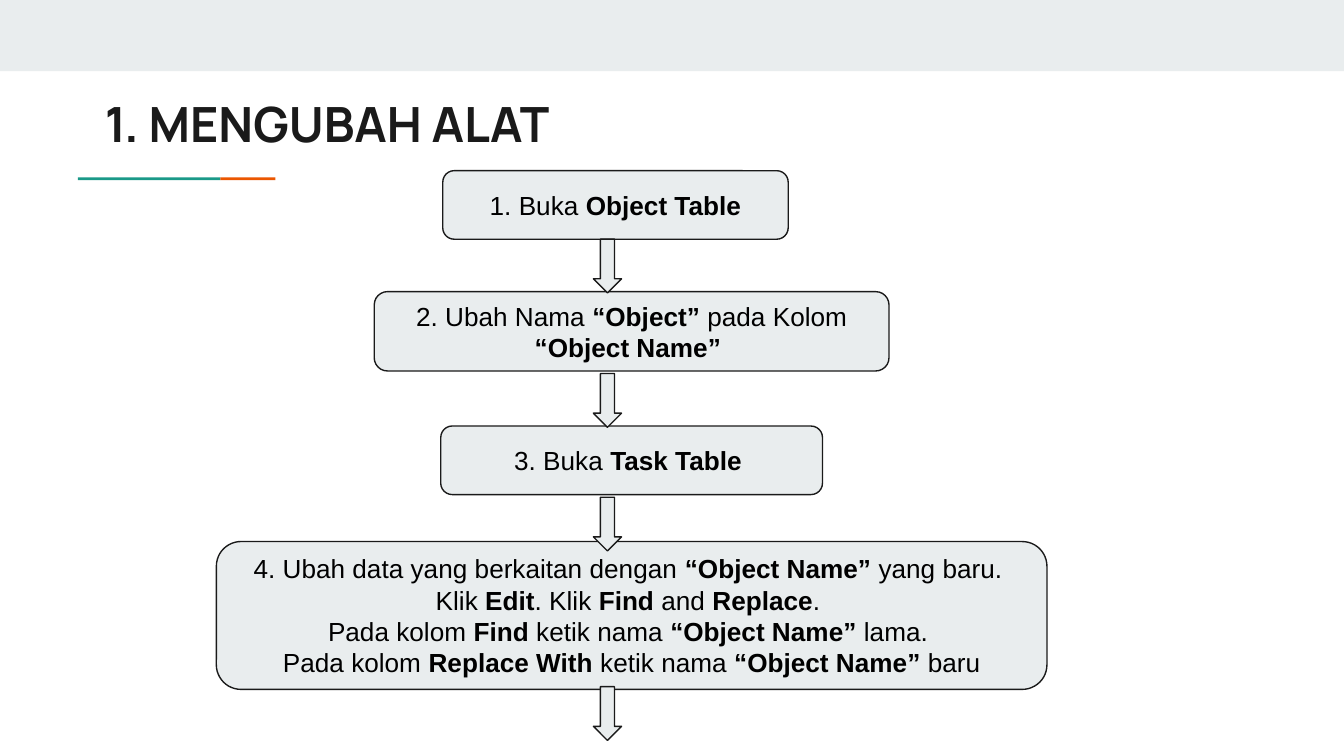
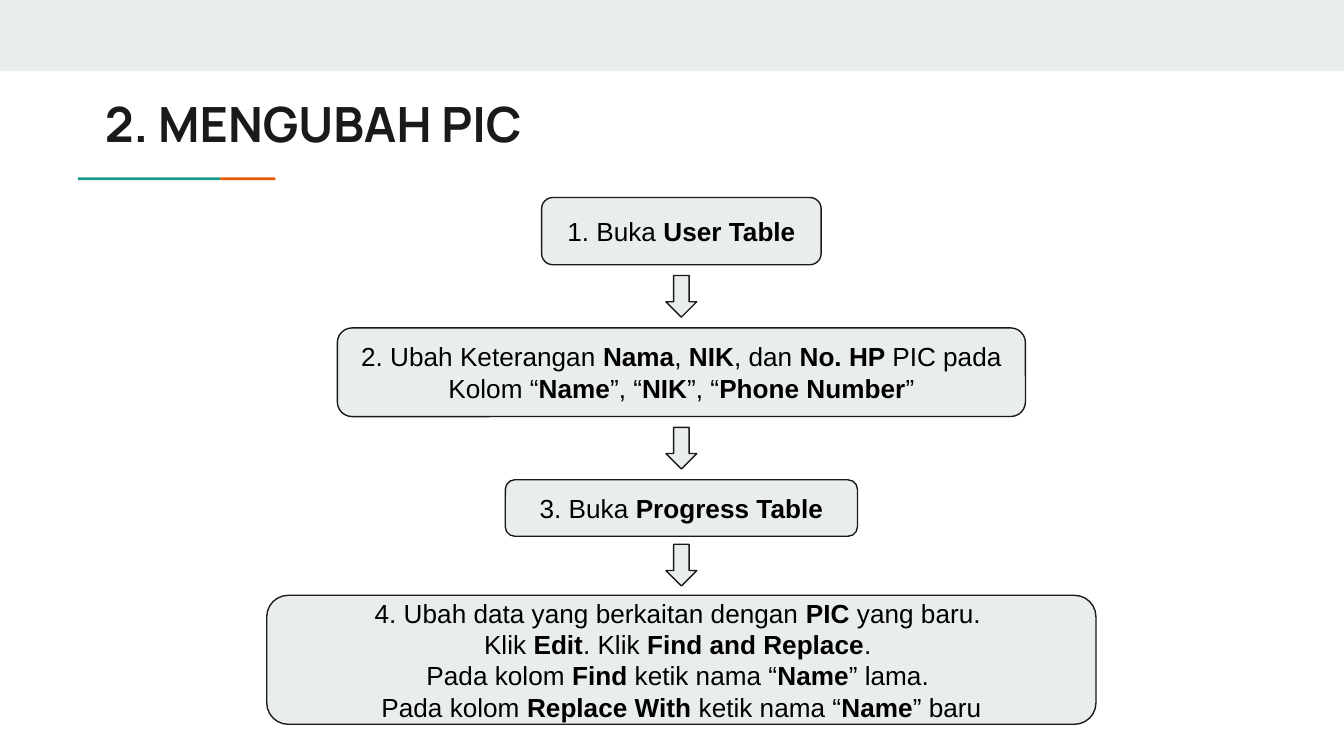
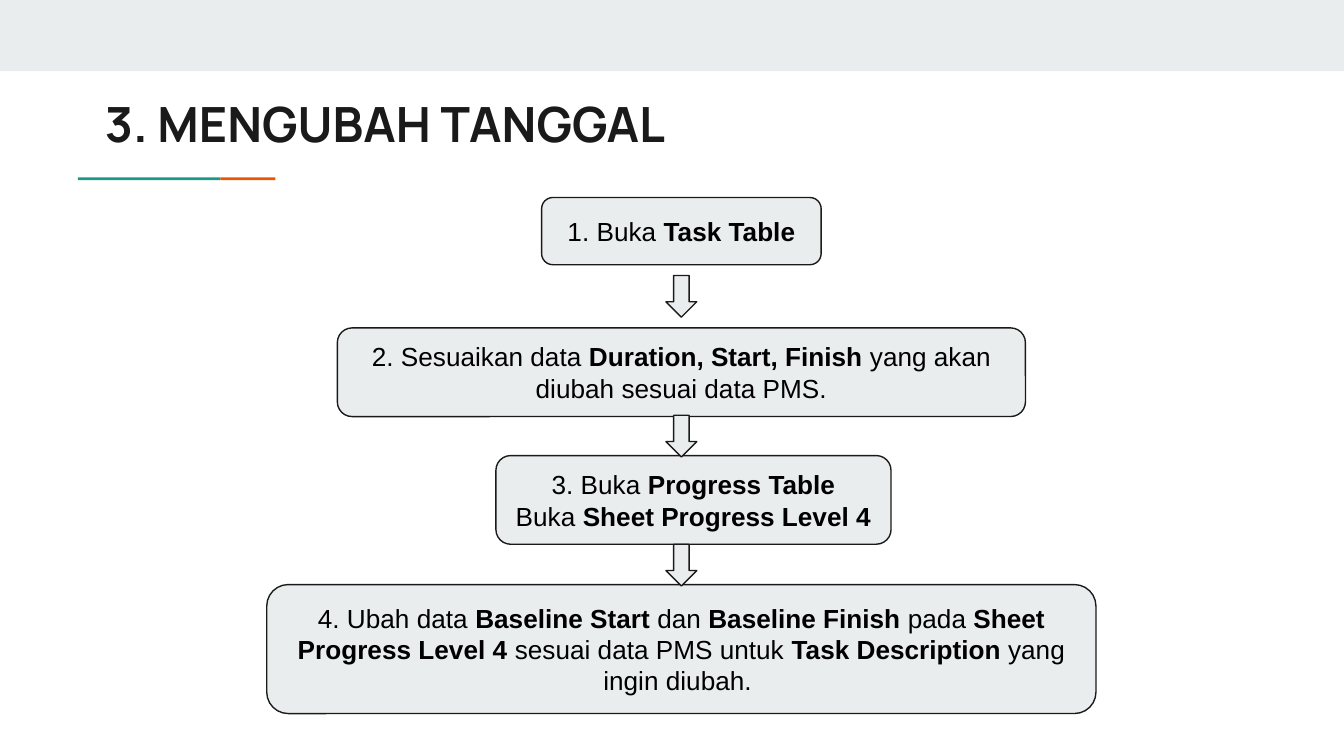
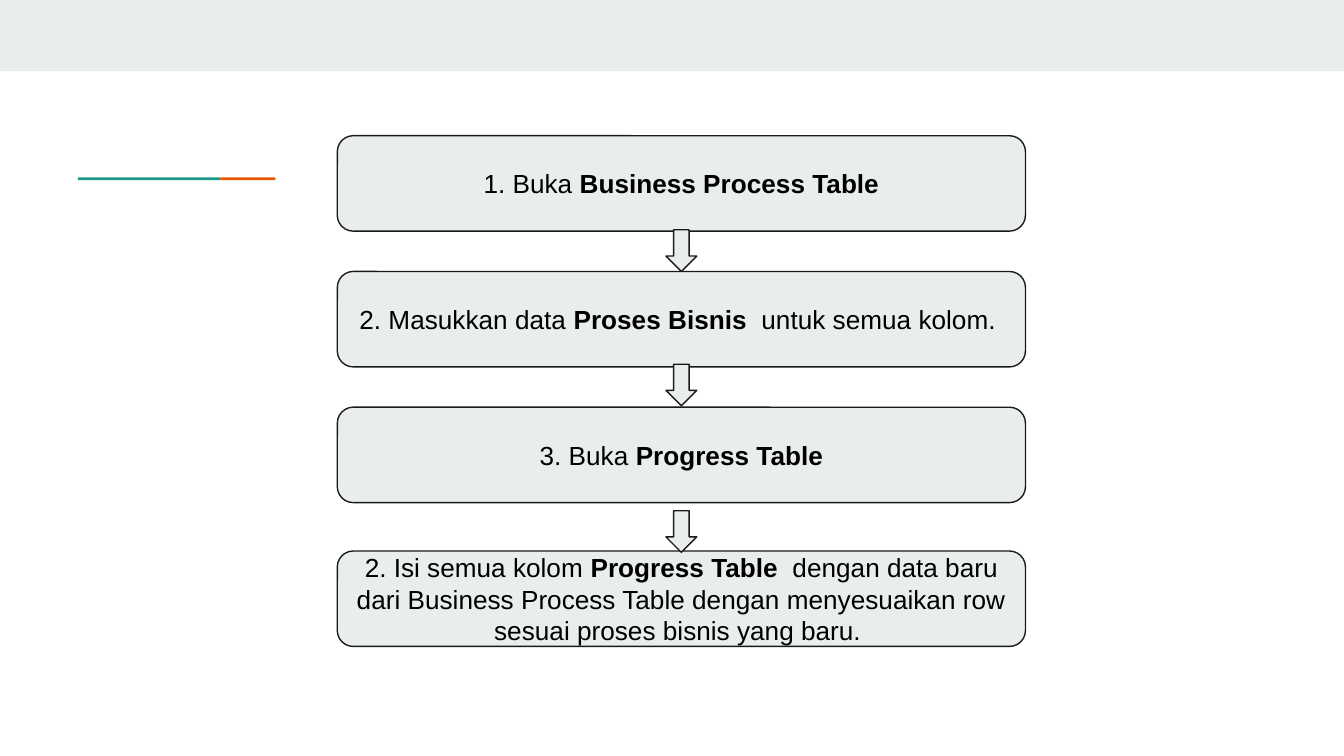
"""Build four flowchart slides on changing project data."""
from pptx import Presentation
from pptx import util as u
from pptx.dml import color
from pptx.enum import shapes, text

WIDTH = 10
HEIGHT = WIDTH * 9 / 16
PALE, INK, BLACK, TEAL, ORANGE = "E9EDEE", "1A1A1A", "000000", "1A9988", "EB5600"
TITLE_BOX = (0.68, 0.6, 8.41, 0.59)
DECOR = [
    ((0, 0, WIDTH, 0.53), PALE),
    ((0.58, 1.32, 1.06, 0.02), TEAL),
    ((1.64, 1.32, 0.41, 0.02), ORANGE),
]

# Each step: top, width, height, shift from the axis, text with **bold** parts.
SLIDES = [
    {
        "title": "1. MENGUBAH ALAT",
        "axis": 4.52,
        "arrow_size": (0.21, 0.4),
        "arrow_tops": [1.78, 2.78, 3.7, 5.11],
        "steps": [
            (1.27, 2.57, 0.51, 0.06, "1. Buka **Object Table**"),
            (2.17, 3.83, 0.59, 0.18, "2. Ubah Nama **“Object”** pada Kolom **“Object Name” **"),
            (3.17, 2.84, 0.51, 0.18, "3. Buka **Task Table **"),
            (4.03, 6.18, 1.1, 0.18,
             "4. Ubah data yang berkaitan dengan **“Object Name”** yang baru. \n"
             "Klik** Edit**. Klik **Find **and **Replace**. \n"
             "Pada kolom **Find** ketik nama **“Object Name”** lama. \n"
             "Pada kolom **Replace With **ketik nama **“Object Name”** baru"),
        ],
    },
    {
        "title": "2. MENGUBAH PIC",
        "axis": 5.07,
        "arrow_size": (0.23, 0.31),
        "arrow_tops": [2.05, 3.18, 4.05],
        "steps": [
            (1.47, 2.08, 0.5, 0, "1. Buka **User Table**"),
            (2.44, 5.12, 0.66, 0,
             "2. Ubah Keterangan **Nama**, **NIK**, dan **No. HP **PIC pada Kolom "
             "“**Name**”, “**NIK**”, “**Phone Number**”"),
            (3.57, 2.62, 0.42, 0, "3. Buka **Progress Table**"),
            (4.43, 6.17, 0.96, 0,
             "4. Ubah data yang berkaitan dengan **PIC **yang baru. \n"
             "Klik **Edit**. Klik **Find and Replace**. \n"
             "Pada kolom **Find** ketik nama “**Name**” lama. \n"
             "Pada kolom **Replace With** ketik nama “**Name**” baru"),
        ],
    },
    {
        "title": "3. MENGUBAH TANGGAL",
        "axis": 5.07,
        "arrow_size": (0.23, 0.31),
        "arrow_tops": [2.05, 3.09, 4.05],
        "steps": [
            (1.47, 2.08, 0.5, 0, "1. Buka **Task Table**"),
            (2.44, 5.12, 0.66, 0,
             "2. Sesuaikan data **Duration, Start, Finish** yang akan diubah sesuai data PMS."),
            (3.39, 2.94, 0.66, 0.09,
             "3. Buka **Progress Table**\nBuka **Sheet Progress Level 4**"),
            (4.35, 6.17, 0.96, 0,
             "4. Ubah data **Baseline Start** dan **Baseline Finish **pada "
             "**Sheet Progress Level 4** sesuai data PMS untuk **Task Description** "
             "yang ingin diubah. "),
        ],
    },
    {
        "title": None,
        "axis": 5.07,
        "arrow_size": (0.23, 0.31),
        "arrow_tops": [1.71, 2.71, 3.8],
        "steps": [
            (1.01, 5.12, 0.71, 0, "1. Buka **Business Process Table**"),
            (2.02, 5.12, 0.71, 0, "2. Masukkan data **Proses Bisnis**  untuk semua kolom. "),
            (3.03, 5.12, 0.71, 0, "3. Buka **Progress Table**"),
            (4.1, 5.12, 0.71, 0,
             "2. Isi semua kolom **Progress Table**  dengan data baru dari Business Process "
             "Table dengan menyesuaikan row sesuai proses bisnis yang baru. "),
        ],
    },
]


def rgb(value):
    return color.RGBColor.from_string(value)


def set_font(paragraph, name, size, value):
    paragraph.font.name = name
    paragraph.font.size = u.Pt(size)
    paragraph.font.color.rgb = rgb(value)


def prepare_frame(frame, anchor):
    frame.word_wrap = True
    frame.auto_size = text.MSO_AUTO_SIZE.NONE
    frame.vertical_anchor = anchor
    frame.margin_left = frame.margin_right = u.Inches(0.1)
    frame.margin_top = frame.margin_bottom = u.Inches(0.1)


def add_shape(slide, kind, box, fill, line=None):
    shape = slide.shapes.add_shape(kind, *map(u.Inches, box))
    shape.shadow.inherit = False
    shape.fill.solid()
    shape.fill.fore_color.rgb = rgb(fill)
    if line:
        shape.line.color.rgb = rgb(line)
        shape.line.width = u.Pt(0.75)
    else:
        shape.line.fill.background()
    return shape


def add_step(slide, axis, step):
    top, width, height, shift, words = step
    box = (axis + shift - width / 2, top, width, height)
    shape = add_shape(slide, shapes.MSO_SHAPE.ROUNDED_RECTANGLE, box, PALE, INK)
    frame = shape.text_frame
    prepare_frame(frame, text.MSO_ANCHOR.MIDDLE)
    for number, line in enumerate(words.split("\n")):
        paragraph = frame.add_paragraph() if number else frame.paragraphs[0]
        paragraph.alignment = text.PP_ALIGN.CENTER
        set_font(paragraph, "Arial", 14, BLACK)
        for index, part in enumerate(line.split("**")):
            if part:
                run = paragraph.add_run()
                run.text = part
                run.font.bold = index % 2 == 1


def set_title(slide, words):
    title = slide.shapes.title
    title.left, title.top, title.width, title.height = map(u.Inches, TITLE_BOX)
    title.text_frame.text = words
    prepare_frame(title.text_frame, text.MSO_ANCHOR.TOP)
    paragraph = title.text_frame.paragraphs[0]
    paragraph.alignment = text.PP_ALIGN.LEFT
    set_font(paragraph, "Manrope", 26, INK)
    paragraph.font.bold = True


def add_flow(presentation, content):
    layout = presentation.slide_layouts[5 if content["title"] else 6]
    slide = presentation.slides.add_slide(layout)
    for box, fill in DECOR:
        add_shape(slide, shapes.MSO_SHAPE.RECTANGLE, box, fill)
    if content["title"]:
        set_title(slide, content["title"])
    for step in content["steps"]:
        add_step(slide, content["axis"], step)
    width, height = content["arrow_size"]
    for top in content["arrow_tops"]:
        box = (content["axis"] - width / 2, top, width, height)
        add_shape(slide, shapes.MSO_SHAPE.DOWN_ARROW, box, PALE, INK)


def main():
    presentation = Presentation()
    presentation.slide_width = u.Inches(WIDTH)
    presentation.slide_height = u.Inches(HEIGHT)
    for content in SLIDES:
        add_flow(presentation, content)
    presentation.save("out.pptx")


if __name__ == "__main__":
    main()
